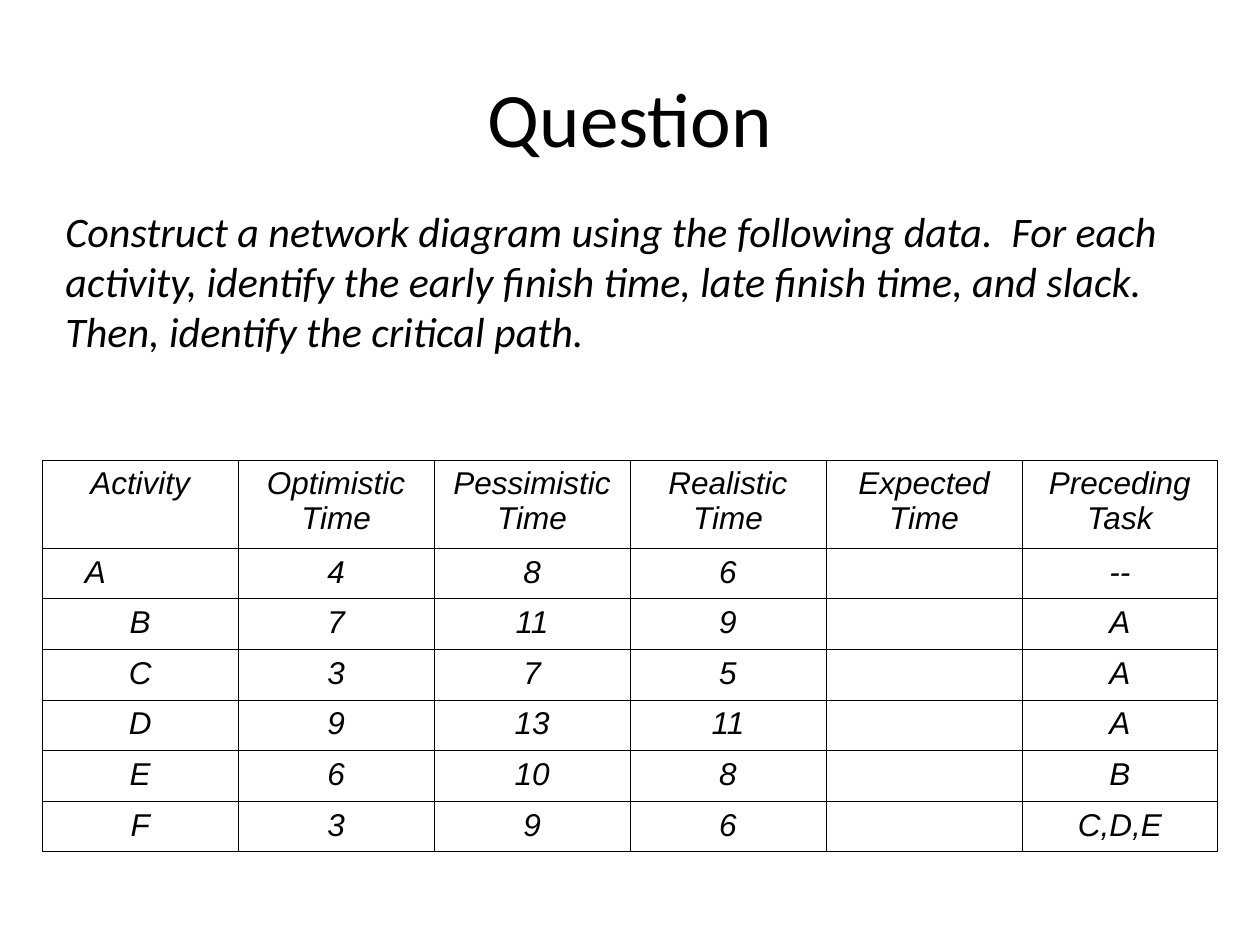
from lxml import etree
from pptx import Presentation
from pptx.dml.color import RGBColor
from pptx.enum import text
from pptx.oxml.ns import qn
from pptx.util import Cm, Pt

# Content
TITLE = "Question"
TASK = ("Construct a network diagram using the following data.  For each activity, "
        "identify the early finish time, late finish time, and slack. "
        "Then, identify the critical path.")
HEADERS = ["Activity", "Optimistic Time", "Pessimistic Time",
           "Realistic Time", "Expected Time", "Preceding Task"]
ACTIVITIES = [
    ("A", "4", "8", "6", "", "--"),
    ("B", "7", "11", "9", "", "A"),
    ("C", "3", "7", "5", "", "A"),
    ("D", "9", "13", "11", "", "A"),
    ("E", "6", "10", "8", "", "B"),
    ("F", "3", "9", "6", "", "C,D,E"),
]

# Layout and style
INK = "000000"
TABLE_LEFT, TABLE_TOP, TABLE_WIDTH = 0.85, 9.27, 23.7
HEADER_HEIGHT, ROW_HEIGHT = 1.78, 1.02
FIRST_ACTIVITY_INDENT = 0.86
BORDER_WIDTH = Pt(0.45)


def color(value):
    return RGBColor.from_string(value)


def write(para, words, size, font, italic=True, align=text.PP_ALIGN.CENTER):
    para.alignment = align
    span = para.add_run()
    span.text = words
    span.font.size = Pt(size)
    span.font.name = font
    span.font.italic = italic
    span.font.color.rgb = color(INK)


def draw_borders(cell):
    props = cell._tc.get_or_add_tcPr()
    for side in ("lnL", "lnR", "lnT", "lnB"):
        line = etree.SubElement(props, qn(f"a:{side}"), w=str(BORDER_WIDTH))
        fill = etree.SubElement(line, qn("a:solidFill"))
        etree.SubElement(fill, qn("a:srgbClr"), val=INK)


def fill_cell(cell, words):
    draw_borders(cell)
    cell.fill.background()
    para = cell.text_frame.paragraphs[0]
    if words:
        write(para, words, 18, "Arial")
    else:
        # Keep blank cells from stretching their row
        etree.SubElement(para._p, qn("a:endParaRPr"), sz="1600")


deck = Presentation()
deck.slide_width, deck.slide_height = Cm(25.4), Cm(19.05)
page = deck.slides.add_slide(deck.slide_layouts[5])

# Title
title = page.shapes.title
title.left, title.top, title.width, title.height = Cm(1.27), Cm(0.76), Cm(22.86), Cm(3.18)
title.text_frame.vertical_anchor = text.MSO_ANCHOR.MIDDLE
write(title.text_frame.paragraphs[0], TITLE, 44, "Calibri", italic=False)

# Task description
box = page.shapes.add_textbox(Cm(1.07), Cm(4.01), Cm(23.29), Cm(4.32))
box.text_frame.word_wrap = True
write(box.text_frame.paragraphs[0], TASK, 24, "Calibri", align=text.PP_ALIGN.LEFT)

# Activity table
rows = [HEADERS, *ACTIVITIES]
table_height = HEADER_HEIGHT + ROW_HEIGHT * len(ACTIVITIES)
table = page.shapes.add_table(len(rows), len(HEADERS), Cm(TABLE_LEFT), Cm(TABLE_TOP),
                              Cm(TABLE_WIDTH), Cm(table_height)).table
table.first_row = table.horz_banding = False
for column in table.columns:
    column.width = Cm(TABLE_WIDTH / len(HEADERS))
for r, values in enumerate(rows):
    table.rows[r].height = Cm(ROW_HEIGHT if r else HEADER_HEIGHT)
    for c, words in enumerate(values):
        fill_cell(table.cell(r, c), words)

# The first activity is indented from the left rather than centred
first_activity = table.cell(1, 0)
first_activity.margin_left = Cm(FIRST_ACTIVITY_INDENT)
first_activity.text_frame.paragraphs[0].alignment = text.PP_ALIGN.LEFT

deck.save("out.pptx")
